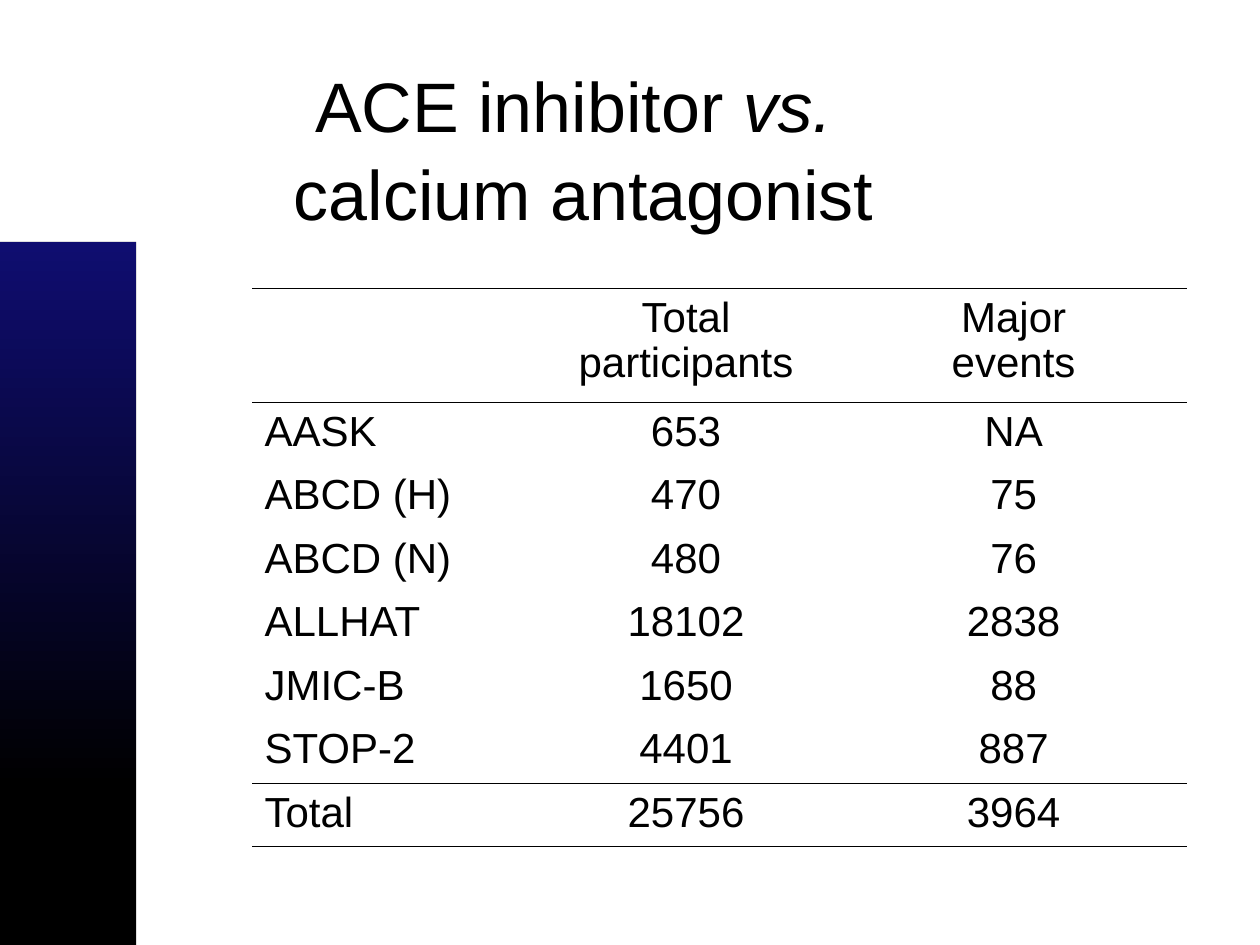
from dataclasses import dataclass

from lxml import etree
from pptx import Presentation
from pptx import util as u
from pptx.dml.color import RGBColor
from pptx.enum import shapes, text
from pptx.oxml import ns


@dataclass
class Theme:
    font: str = "Arial"
    ink: str = "000000"
    navy: str = "0F0D70"
    title: int = 40
    body: int = 24
    rule: float = 0.45


class Deck:
    def __init__(self, theme):
        self.theme = theme
        self.prs = Presentation()
        self.prs.slide_width = u.Inches(10)
        self.prs.slide_height = u.Inches(7.5)
        self.slide = self.prs.slides.add_slide(self.prs.slide_layouts[6])

    def run(self, para, words, size, italic=False):
        run = para.add_run()
        run.text = words
        font = run.font
        font.name, font.size, font.italic = self.theme.font, u.Pt(size), italic
        font.color.rgb = RGBColor.from_string(self.theme.ink)

    def title(self, lines, *box):
        frame = self.slide.shapes.add_textbox(*map(u.Inches, box)).text_frame
        frame.word_wrap = True
        frame.vertical_anchor = text.MSO_ANCHOR.MIDDLE
        para = frame.paragraphs[0]
        para.alignment = text.PP_ALIGN.CENTER
        para.line_spacing = 1.05
        for i, line in enumerate(lines):
            if i:
                para.add_line_break()
            for words, italic in line:
                self.run(para, words, self.theme.title, italic)

    def bar(self, *box, fade=None):
        bar = self.slide.shapes.add_shape(
            shapes.MSO_SHAPE.RECTANGLE, *map(u.Inches, box))
        bar.shadow.inherit = False
        bar.line.fill.background()
        ink = RGBColor.from_string(self.theme.ink)
        if fade:
            bar.fill.gradient()
            bar.fill.gradient_angle = 270
            stops = bar.fill.gradient_stops
            for stop, place, tone in zip(
                    stops, (0, 1), (RGBColor.from_string(fade), ink)):
                stop.position, stop.color.rgb = place, tone
        else:
            bar.fill.solid()
            bar.fill.fore_color.rgb = ink

    def edges(self, cell, sides):
        props = cell._tc.get_or_add_tcPr()
        for side in "LRTB":
            line = etree.SubElement(props, ns.qn(f"a:ln{side}"))
            if side in sides:
                line.set("w", str(u.Pt(self.theme.rule)))
                fill = etree.SubElement(line, ns.qn("a:solidFill"))
                tone = etree.SubElement(fill, ns.qn("a:srgbClr"))
                tone.set("val", self.theme.ink)
            else:
                etree.SubElement(line, ns.qn("a:noFill"))

    def table(self, rows, left, top, widths, head, height, rules):
        """Draw a table with a rule above each row number in rules."""
        count = len(rows)
        grid = self.slide.shapes.add_table(
            count, len(widths), u.Inches(left), u.Inches(top),
            u.Inches(sum(widths)), u.Inches(height)).table
        grid.first_row = grid.horz_banding = False
        for col, width in zip(grid.columns, widths):
            col.width = u.Inches(width)
        for r, row in enumerate(rows):
            grid.rows[r].height = u.Inches(
                (height - head) / (count - 1) if r else head)
            sides = "T" * (r in rules) + "B" * (r + 1 in rules)
            for c, words in enumerate(row):
                cell = grid.cell(r, c)
                self.edges(cell, sides)
                cell.fill.background()
                self.fill(cell.text_frame, words, c > 0)

    def fill(self, frame, words, center):
        for i, line in enumerate(words.splitlines()):
            para = frame.add_paragraph() if i else frame.paragraphs[0]
            if center:
                para.alignment = text.PP_ALIGN.CENTER
            if i:
                para.line_spacing = 0.95
            self.run(para, line, self.theme.body)


def main():
    theme = Theme()
    deck = Deck(theme)

    # Title
    deck.title([[("ACE inhibitor ", False), ("vs. ", True)],
                [("calcium antagonist", False)]], 0.17, 0.75, 8.92, 0.83)

    # Trial table, ruled around the header and the total
    trials = [
        ("", "Total\nparticipants", "Major\nevents"),
        ("AASK", "653", "NA"),
        ("ABCD (H)", "470", "75"),
        ("ABCD (N)", "480", "76"),
        ("ALLHAT", "18102", "2838"),
        ("JMIC-B", "1650", "88"),
        ("STOP-2", "4401", "887"),
        ("Total", "25756", "3964"),
    ]
    last = len(trials)
    deck.table(trials, 2, 2.29, (2.22, 2.45, 2.75), 0.9, 4.43,
               (0, 1, last - 1, last))

    # Side bar: black, with a navy fade over its upper part
    deck.bar(0, 1.92, 1.08, 5.58)
    deck.bar(0, 1.92, 1.08, 4.33, fade=theme.navy)

    deck.prs.save("out.pptx")


if __name__ == "__main__":
    main()
